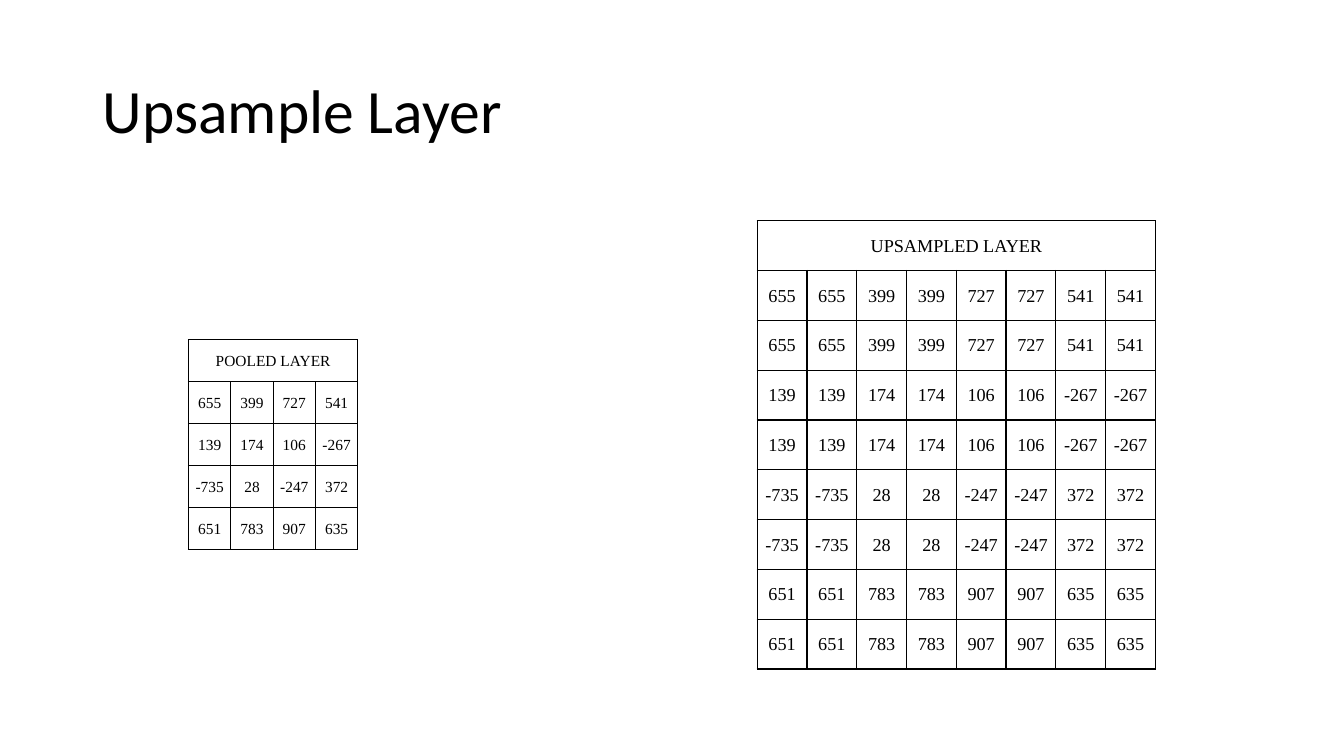
from dataclasses import dataclass

from lxml.etree import SubElement
from pptx import Presentation
from pptx.dml.color import RGBColor
from pptx.enum.text import MSO_ANCHOR, PP_ALIGN
from pptx.oxml.ns import qn
from pptx.slide import Slide
from pptx.table import _Cell
from pptx.text.text import _Paragraph
from pptx.util import Inches, Pt

INK = "000000"
POOLED = [
    [655, 399, 727, 541],
    [139, 174, 106, -267],
    [-735, 28, -247, 372],
    [651, 783, 907, 635],
]


@dataclass
class Layer:
    title: str
    left: float
    top: float
    width: float
    height: float
    size: int
    data: list[list[int]]


def color(code: str) -> RGBColor:
    return RGBColor.from_string(code)


def upsample(data: list[list[int]], scale: int) -> list[list[int]]:
    """Repeat every value along both axes."""
    return [[num for num in row for _ in range(scale)]
            for row in data for _ in range(scale)]


def add_run(para: _Paragraph, text: str, font: str, size: int) -> None:
    run = para.add_run()
    run.text = text
    run.font.name = font
    run.font.size = Pt(size)
    run.font.bold = False
    run.font.color.rgb = color(INK)


def add_edges(cell: _Cell) -> None:
    props = cell._tc.get_or_add_tcPr()
    for side in ("lnL", "lnR", "lnT", "lnB"):
        line = SubElement(props, qn(f"a:{side}"), w=str(Pt(1)))
        fill = SubElement(line, qn("a:solidFill"))
        SubElement(fill, qn("a:srgbClr"), val=INK)


def style_cell(cell: _Cell) -> None:
    cell.margin_left = cell.margin_top = cell.margin_right = Inches(0.01)
    cell.margin_bottom = 0
    cell.vertical_anchor = MSO_ANCHOR.MIDDLE
    add_edges(cell)
    cell.fill.background()


def write_cell(cell: _Cell, text: str, size: int) -> None:
    para = cell.text_frame.paragraphs[0]
    para.alignment = PP_ALIGN.CENTER
    add_run(para, text, "Times New Roman", size)


def add_title(slide: Slide, text: str) -> None:
    box = slide.shapes.add_textbox(
        Inches(0.92), Inches(0.4), Inches(11.5), Inches(1.45))
    frame = box.text_frame
    frame.word_wrap = True
    frame.vertical_anchor = MSO_ANCHOR.MIDDLE
    para = frame.paragraphs[0]
    para.line_spacing = 0.9
    add_run(para, text, "Calibri", 44)


def add_layer(slide: Slide, layer: Layer) -> None:
    rows, cols = len(layer.data) + 1, len(layer.data[0])
    table = slide.shapes.add_table(
        rows, cols, Inches(layer.left), Inches(layer.top),
        Inches(layer.width), Inches(layer.height)).table
    table.first_row = table.horz_banding = False
    for cell in table.iter_cells():
        style_cell(cell)

    # Heading across all columns
    head = table.cell(0, 0)
    head.merge(table.cell(0, cols - 1))
    write_cell(head, layer.title, layer.size)

    # Values
    for row, nums in enumerate(layer.data, 1):
        for col, num in enumerate(nums):
            write_cell(table.cell(row, col), str(num), layer.size)


def main() -> None:
    deck = Presentation()
    deck.slide_width, deck.slide_height = Inches(13.33), Inches(7.5)
    slide = deck.slides.add_slide(deck.slide_layouts[6])
    add_title(slide, "Upsample Layer")
    layers = [
        Layer("POOLED LAYER", 1.87, 3.37, 1.68, 2.08, 11, POOLED),
        Layer("UPSAMPLED LAYER", 7.51, 2.19, 3.95, 4.45, 13,
              upsample(POOLED, 2)),
    ]
    for layer in layers:
        add_layer(slide, layer)
    deck.save("out.pptx")


if __name__ == "__main__":
    main()
